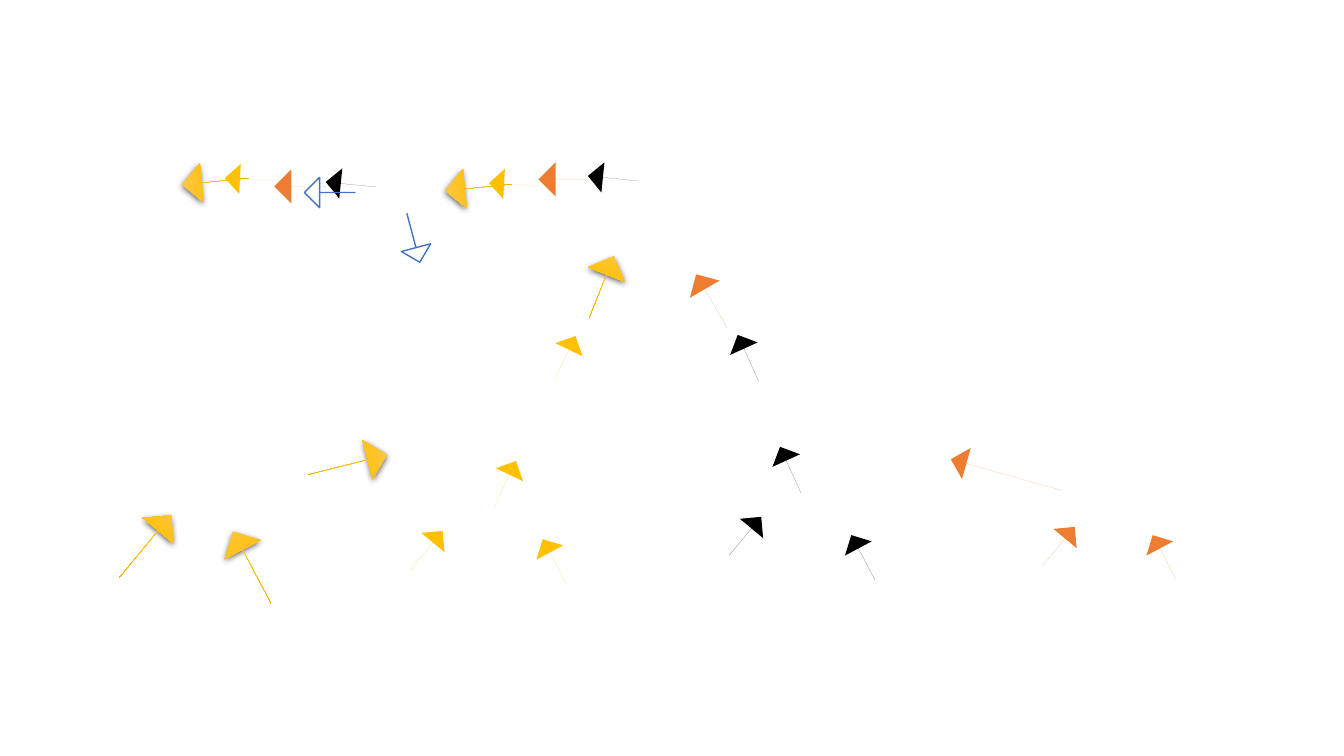
from copy import deepcopy

from pptx import Presentation
from pptx.dml.color import RGBColor
from pptx.enum import shapes
from pptx.oxml import parse_xml
from pptx.oxml.ns import nsdecls, qn
from pptx.util import Inches, Pt

BLACK, ORANGE, YELLOW, WHITE, BLUE = "000000", "ED7D31", "FFC000", "FFFFFF", "4472C4"
GOLD = (("FFC64B", 0), ("FFC000", 0.5), ("E3AB00", 1))

SMALL, MEDIUM, LARGE = (0.3, 0.5), (0.34, 0.62), (0.39, 0.66)
TALL, LONG = (0.4, 0.8), (0.32, 1.14)

# Back to front: colour, size, left, top, rotation
ARROWS = [
    # lower pairs, from right to left
    (ORANGE, SMALL, 11.4, 5.28, 332.1),
    (ORANGE, SMALL, 10.35, 5.17, 39.7),
    (BLACK, SMALL, 8.41, 5.28, 332.1),
    (BLACK, SMALL, 7.24, 5.07, 39.7),
    (YELLOW, SMALL, 5.35, 5.32, 332.1),
    (YELLOW, SMALL, 4.08, 5.21, 39.7),
    (GOLD, TALL, 2.3, 5.23, 332.1),
    (GOLD, TALL, 1.24, 5.02, 39.7),
    # middle branches
    (ORANGE, LONG, 9.82, 4.14, 285.7),
    (ORANGE, MEDIUM, 6.89, 2.68, 329.9),
    (BLACK, SMALL, 7.27, 3.3, 335.6),
    (BLACK, SMALL, 7.69, 4.41, 335.6),
    (YELLOW, SMALL, 4.86, 4.55, 25.5),
    (GOLD, TALL, 3.25, 4.21, 75.8),
    (GOLD, LARGE, 5.77, 2.52, 21.8),
    (YELLOW, SMALL, 5.45, 3.31, 25.5),
    # upper right row
    (ORANGE, MEDIUM, 5.48, 1.47, 270),
    (BLACK, SMALL, 5.93, 1.52, 275.7),
    (GOLD, LARGE, 4.55, 1.53, 264.5),
    (YELLOW, SMALL, 4.95, 1.58, 273.1),
    # upper left row
    (ORANGE, MEDIUM, 2.86, 1.54, 270),
    (BLACK, SMALL, 3.33, 1.58, 275.7),
    (GOLD, LARGE, 1.94, 1.47, 264.5),
    (YELLOW, SMALL, 2.33, 1.53, 273.1),
    # outlined
    (WHITE, SMALL, 3.95, 2.11, 165.1),
    (WHITE, SMALL, 3.12, 1.66, 270),
]


def paint(color_format, hex_color):
    color_format.rgb = RGBColor.from_string(hex_color)


def fill_gold(arrow):
    """Give the arrow a downward three-stop gradient and a soft shadow."""
    arrow.fill.gradient()
    arrow.fill.gradient_angle = 270
    properties = arrow._element.spPr
    stops = properties.find(f".//{qn('a:gsLst')}")
    stops.append(deepcopy(stops[-1]))
    for stop, (color, position) in zip(arrow.fill.gradient_stops, GOLD):
        paint(stop.color, color)
        stop.position = position
    properties.find(qn("a:effectLst")).append(parse_xml(
        f'<a:outerShdw {nsdecls("a")} blurRad="{Pt(4.5)}" dist="{Pt(1.5)}" '
        'dir="5400000" algn="ctr" rotWithShape="0"><a:srgbClr val="000000">'
        '<a:alpha val="63000"/></a:srgbClr></a:outerShdw>'))


def add_arrow(slide, color, size, left, top, rotation):
    arrow = slide.shapes.add_shape(
        shapes.MSO_SHAPE.UP_ARROW, *map(Inches, (left, top, *size)))
    arrow.adjustments[0] = 0
    arrow.adjustments[1] = 0.5
    arrow.rotation = rotation
    arrow.shadow.inherit = False
    if color == GOLD:
        fill_gold(arrow)
    else:
        arrow.fill.solid()
        paint(arrow.fill.fore_color, color)
    if color == WHITE:
        paint(arrow.line.color, BLUE)
        arrow.line.width = Pt(1)
    else:
        arrow.line.fill.background()


def main():
    deck = Presentation()
    deck.slide_width, deck.slide_height = Inches(13.33), Inches(7.5)
    slide = deck.slides.add_slide(deck.slide_layouts[6])
    for arrow in ARROWS:
        add_arrow(slide, *arrow)
    deck.save("out.pptx")


if __name__ == "__main__":
    main()
